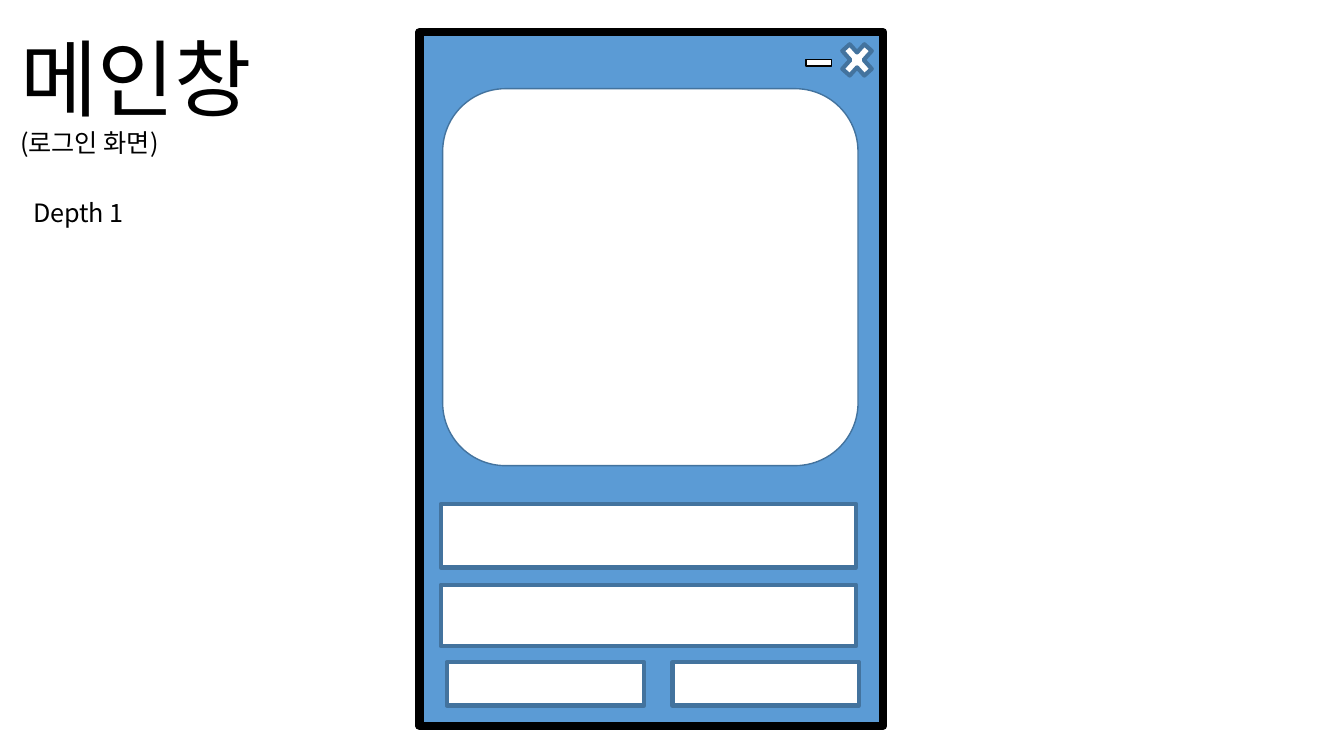
from dataclasses import dataclass

from lxml.etree import SubElement
from pptx import Presentation
from pptx.dml.color import RGBColor
from pptx.enum.shapes import MSO_SHAPE
from pptx.enum.text import MSO_AUTO_SIZE, PP_ALIGN
from pptx.oxml.ns import qn
from pptx.util import Inches, Pt


@dataclass(frozen=True)
class Theme:
    font: str = "Noto Sans CJK KR"
    ink: str = "000000"
    panel: str = "5B9BD5"
    edge: str = "43739E"
    paper: str = "FFFFFF"
    title: int = 60
    body: int = 18


class Sketch:
    """Draws the parts of a window mock-up on one slide."""

    def __init__(self, slide, theme):
        self.slide = slide
        self.theme = theme

    def shape(self, kind, box, fill=None, line=None, width=3):
        item = self.slide.shapes.add_shape(kind, *map(Inches, box))
        item.shadow.inherit = False
        item.fill.solid()
        item.fill.fore_color.rgb = RGBColor.from_string(fill or self.theme.paper)
        item.line.color.rgb = RGBColor.from_string(line or self.theme.edge)
        item.line.width = Pt(width)
        return item

    def text(self, box, lines):
        frame = self.slide.shapes.add_textbox(*map(Inches, box)).text_frame
        frame.word_wrap = True
        frame.auto_size = MSO_AUTO_SIZE.SHAPE_TO_FIT_TEXT
        frame.text = "\n".join(words for words, size in lines)
        for para, (words, size) in zip(frame.paragraphs, lines):
            para.alignment = PP_ALIGN.LEFT
            font = para.font
            font.size = Pt(size)
            font.color.rgb = RGBColor.from_string(self.theme.ink)
            font.name = self.theme.font
            style = para._p.find(qn("a:pPr")).find(qn("a:defRPr"))
            SubElement(style, qn("a:ea"), typeface=self.theme.font)


def main():
    deck = Presentation()
    deck.slide_width, deck.slide_height = Inches(13.33), Inches(7.5)
    theme = Theme()
    sketch = Sketch(deck.slides.add_slide(deck.slide_layouts[6]), theme)

    sketch.shape(MSO_SHAPE.RECTANGLE, (4.16, 0.32, 4.6, 6.88), theme.panel, theme.ink, 6)
    sketch.shape(MSO_SHAPE.ROUNDED_RECTANGLE, (4.39, 0.88, 4.12, 3.74), width=1)
    sketch.shape(MSO_SHAPE.MATH_MULTIPLY, (8.29, 0.36, 0.42, 0.47))
    sketch.shape(MSO_SHAPE.MATH_MINUS, (7.95, 0.49, 0.34, 0.27), line=theme.ink, width=1)

    fields = [(4.37, 5, 4.12, 0.63), (4.37, 5.8, 4.12, 0.61)]
    buttons = [(left, 6.57, width, 0.43) for left, width in ((4.43, 1.96), (6.67, 1.85))]
    for box in fields + buttons:
        sketch.shape(MSO_SHAPE.RECTANGLE, box)

    sketch.text((0.1, 0.21, 3.82, 1.41), [("메인창", theme.title), ("(로그인 화면)", theme.body)])
    sketch.text((0.23, 1.91, 2.96, 0.4), [("Depth 1", theme.body)])
    deck.save("out.pptx")


if __name__ == "__main__":
    main()
